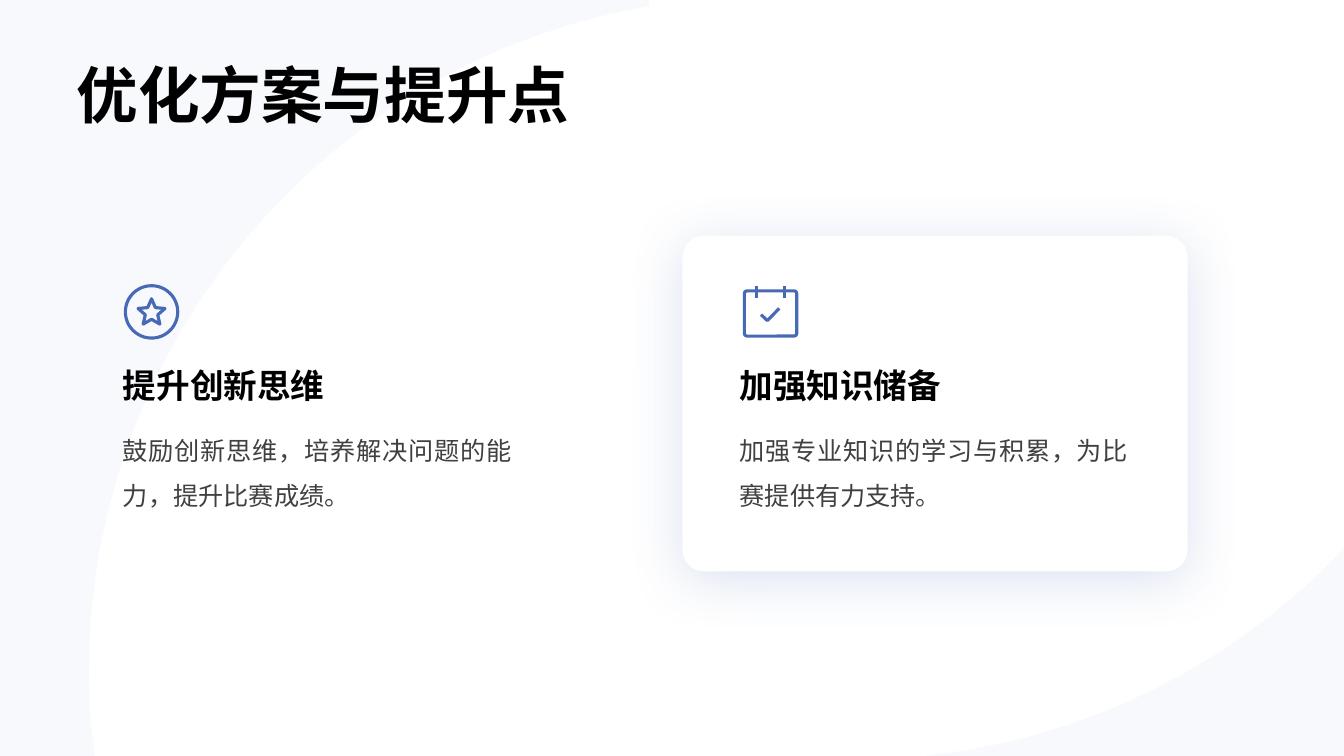
from lxml.etree import SubElement
from pptx import Presentation
from pptx.dml.color import RGBColor
from pptx.enum.shapes import MSO_CONNECTOR, MSO_SHAPE as SHAPE
from pptx.enum.text import MSO_ANCHOR as ANCHOR, PP_ALIGN as ALIGN
from pptx.oxml.ns import qn
from pptx.util import Cm, Pt


def rgb(value):
    return RGBColor.from_string(value)


def bezier(a, b, c, d, steps=40):
    points = []
    for i in range(steps + 1):
        t = i / steps
        u = 1 - t
        points.append(tuple(
            u**3 * p0 + 3 * u * u * t * p1 + 3 * u * t * t * p2 + t**3 * p3
            for p0, p1, p2, p3 in zip(a, b, c, d)))
    return points


class Deck:
    FONT = "Noto Sans CJK SC"
    BLUE, TINT, WHITE = "486AB6", "DAE1F0", "FFFFFF"
    BLACK, GREY = "000000", "404040"
    STROKE = 2.25

    def __init__(self, prs):
        self.s = prs.slides.add_slide(prs.slide_layouts[6])

    def style(self, sp, fill=None, line=None):
        sp.shadow.inherit = False
        if fill:
            sp.fill.solid()
            sp.fill.fore_color.rgb = rgb(fill)
        else:
            sp.fill.background()
        if line:
            sp.line.color.rgb = rgb(line)
            sp.line.width = Pt(self.STROKE)
        else:
            sp.line.fill.background()
        return sp

    def shape(self, kind, x, y, w, h, fill=None, line=None, adj=None):
        sp = self.s.shapes.add_shape(kind, Cm(x), Cm(y), Cm(w), Cm(h))
        if adj is not None:
            sp.adjustments[0] = adj
        return self.style(sp, fill, line)

    def outline(self, points, fill=None, line=None, close=True):
        start, *rest = [(Cm(x), Cm(y)) for x, y in points]
        builder = self.s.shapes.build_freeform(*start)
        builder.add_line_segments(rest, close=close)
        return self.style(builder.convert_to_shape(), fill, line)

    def tint(self, points):
        sp = self.outline(points, fill=self.TINT)
        color = sp.fill._xPr.find(qn("a:solidFill"))[0]
        SubElement(color, qn("a:alpha"), val="20000")

    def card(self, x, y, w, h):
        sp = self.shape(SHAPE.ROUNDED_RECTANGLE, x, y, w, h, self.WHITE, adj=0.064)
        effects = sp._element.spPr.find(qn("a:effectLst"))
        shadow = SubElement(effects, qn("a:outerShdw"), blurRad=str(Pt(40)),
                            dist=str(Pt(6)), dir="5400000", rotWithShape="0")
        color = SubElement(shadow, qn("a:srgbClr"), val=self.BLUE)
        SubElement(color, qn("a:alpha"), val="20000")

    def line(self, x1, y1, x2, y2):
        c = self.s.shapes.add_connector(
            MSO_CONNECTOR.STRAIGHT, Cm(x1), Cm(y1), Cm(x2), Cm(y2))
        c.line.color.rgb = rgb(self.BLUE)
        c.line.width = Pt(self.STROKE)
        SubElement(c._element.spPr, qn("a:effectLst"))

    def text(self, text, x, y, w, h, size, color=BLACK, bold=False,
             anchor=ANCHOR.TOP, align=ALIGN.LEFT, spacing=None):
        tf = self.s.shapes.add_textbox(Cm(x), Cm(y), Cm(w), Cm(h)).text_frame
        tf.word_wrap = True
        tf.vertical_anchor = anchor
        tf.margin_left = tf.margin_right = tf.margin_top = tf.margin_bottom = 0
        tf.text = text
        p = tf.paragraphs[0]
        p.alignment = align
        p.line_spacing = spacing
        font = p.runs[0].font
        font.size, font.bold, font.name = Pt(size), bold, self.FONT
        font.color.rgb = rgb(color)
        SubElement(font._element, qn("a:ea"), typeface=self.FONT)

    def star_icon(self, x, y):
        self.shape(SHAPE.OVAL, x + 0.06, y + 0.04, 1.32, 1.32, line=self.BLUE)
        self.shape(SHAPE.STAR_5_POINT, x + 0.38, y + 0.37, 0.68, 0.64,
                   line=self.BLUE, adj=0.23)

    def calendar_icon(self, x, y):
        self.shape(SHAPE.ROUNDED_RECTANGLE, x + 0.12, y + 0.17, 1.32, 1.14,
                   line=self.BLUE, adj=0.06)
        for ring in (0.43, 1.12):
            self.line(x + ring, y + 0.04, x + ring, y + 0.36)
        check = [(0.54, 0.77), (0.7, 0.92), (1, 0.61)]
        self.outline([(x + dx, y + dy) for dx, dy in check],
                     line=self.BLUE, close=False)

    def point(self, x, icon, heading, body):
        icon(x, 7.16)
        self.text(heading, x, 9.19, 9.8, 0.91, 24, bold=True)
        self.text(body, x, 10.59, 9.8, 3.02, 18, self.GREY,
                  align=ALIGN.JUSTIFY, spacing=1.5)


def main():
    prs = Presentation()
    prs.slide_width, prs.slide_height = Cm(33.87), Cm(19.05)
    deck = Deck(prs)
    deck.tint([(0, 0), (16.36, 0), (16.36, 0.15),
               *bezier((15.95, 0.23), (8.15, 1.75), (2.24, 8.66), (2.24, 16.92)),
               *bezier((2.24, 16.92), (2.24, 17.42), (2.26, 17.93), (2.31, 18.44)),
               (2.39, 19.05), (0, 19.05)])
    deck.tint([(33.87, 13.82), (33.87, 19.05), (23.32, 19.05),
               *bezier((24.05, 18.95), (27.64, 18.42), (30.86, 16.76), (33.35, 14.35))])
    deck.text("优化方案与提升点", 1.93, 1.09, 30, 2.21, 44, bold=True,
              anchor=ANCHOR.BOTTOM)
    deck.card(17.2, 5.94, 12.73, 8.46)
    deck.point(3.1, deck.star_icon, "提升创新思维",
               "鼓励创新思维，培养解决问题的能力，提升比赛成绩。")
    deck.point(18.64, deck.calendar_icon, "加强知识储备",
               "加强专业知识的学习与积累，为比赛提供有力支持。")
    prs.save("out.pptx")


if __name__ == "__main__":
    main()
